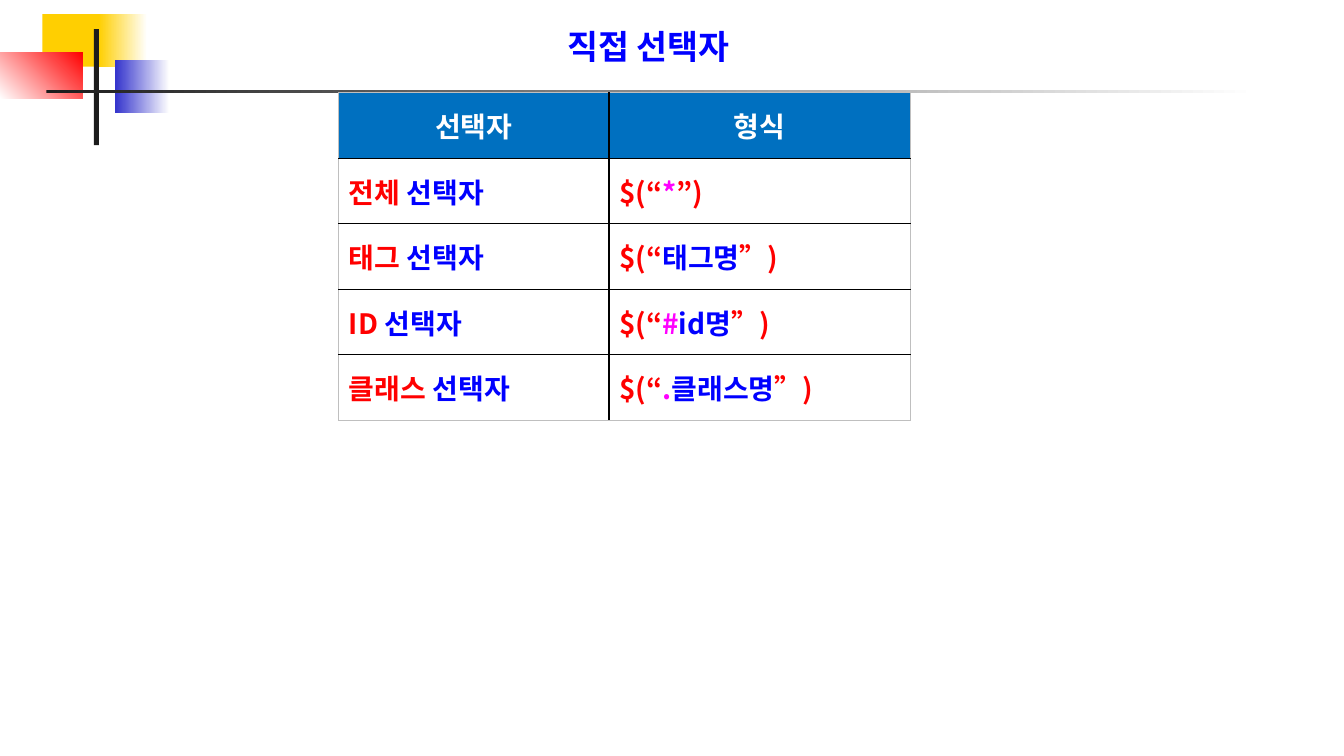
from typing import NamedTuple, Optional

from lxml.etree import SubElement
from pptx import Presentation
from pptx.dml.color import RGBColor
from pptx.enum.text import MSO_ANCHOR as Anchor, MSO_AUTO_SIZE as AutoSize, PP_ALIGN as Align
from pptx.enum.shapes import MSO_SHAPE as Preset
from pptx.oxml.ns import qn
from pptx.util import Inches, Pt

FONT = "Noto Sans CJK KR"
WHITE, DARK, HEADER_BLUE = "FFFFFF", "1C1C1C", "0070C0"
RED, BLUE, MAGENTA = "FF0000", "0000FF", "FF00FF"
YELLOW, INDIGO = "FFCF01", "3333CC"
BLACK, OUTER_GRAY = "000000", "BFBFBF"


class Block(NamedTuple):
    left: float
    top: float
    width: float
    height: float
    color: str
    end_color: Optional[str] = None
    angle: float = 0


class Piece(NamedTuple):
    text: str
    color: str


class Selector(NamedTuple):
    kind: str
    symbol: str
    target: str


BLOCKS = [
    Block(0.42, 0.14, 0.64, 0.52, YELLOW),
    Block(0.98, 0.14, 0.48, 0.52, YELLOW, WHITE),
    Block(1.14, 0.6, 0.54, 0.52, INDIGO, WHITE),
    Block(0, 0.52, 0.82, 0.46, WHITE, RED, 45),
    Block(0.93, 0.29, 0.05, 1.15, DARK),
    Block(0.46, 0.89, 12, 0.03, DARK, WHITE),
]
HEADERS = ["선택자", "형식"]
SELECTORS = [
    Selector("전체", "*", ""),
    Selector("태그", "", "태그명"),
    Selector("ID", "#", "id명"),
    Selector("클래스", ".", "클래스명"),
]
COLUMN_WIDTHS = [2.68, 2.99]
ROW_HEIGHT = 0.65


def rgb(color: str) -> RGBColor:
    return RGBColor.from_string(color)


def add_text(paragraph, text: str, *, color: str, size: float = 20, bold: bool = True) -> None:
    run = paragraph.add_run()
    run.text = text
    run.font.name = FONT
    run.font.size = Pt(size)
    run.font.bold = bold
    run.font.color.rgb = rgb(color)
    SubElement(run.font._element, qn("a:ea"), typeface=FONT)


def draw_block(slide, block: Block) -> None:
    shape = slide.shapes.add_shape(
        Preset.RECTANGLE, Inches(block.left), Inches(block.top), Inches(block.width), Inches(block.height)
    )
    shape.shadow.inherit = False
    shape.line.fill.background()
    if block.end_color is None:
        shape.fill.solid()
        shape.fill.fore_color.rgb = rgb(block.color)
        return
    shape.fill.gradient()
    shape.fill.gradient_angle = block.angle
    for stop, color in zip(shape.fill.gradient_stops, (block.color, block.end_color)):
        stop.color.rgb = rgb(color)


def set_borders(cell, outer_sides: dict[str, bool]) -> None:
    properties = cell._tc.get_or_add_tcPr()
    for side, outer in outer_sides.items():
        line = SubElement(properties, qn(f"a:ln{side}"), w=str(Pt(0.5 if outer else 1)))
        fill = SubElement(line, qn("a:solidFill"))
        SubElement(fill, qn("a:srgbClr"), val=OUTER_GRAY if outer else BLACK)


def selector_row(selector: Selector) -> list[list[Piece]]:
    pattern = [
        Piece("$(“", RED),
        Piece(selector.symbol, MAGENTA),
        Piece(selector.target, BLUE),
        Piece("”)", RED),
    ]
    return [
        [Piece(f"{selector.kind} ", RED), Piece("선택자", BLUE)],
        [piece for piece in pattern if piece.text],
    ]


def draw_table(slide) -> None:
    rows = [[[Piece(header, WHITE)] for header in HEADERS]]
    rows += [selector_row(selector) for selector in SELECTORS]
    last_row, last_column = len(rows) - 1, len(HEADERS) - 1
    table = slide.shapes.add_table(
        len(rows), len(HEADERS), Inches(3.36), Inches(0.92),
        Inches(sum(COLUMN_WIDTHS)), Inches(ROW_HEIGHT * len(rows)),
    ).table
    for column, width in zip(table.columns, COLUMN_WIDTHS):
        column.width = Inches(width)
    for row_index, row in enumerate(rows):
        table.rows[row_index].height = Inches(ROW_HEIGHT)
        for column_index, pieces in enumerate(row):
            cell = table.cell(row_index, column_index)
            cell.vertical_anchor = Anchor.MIDDLE
            set_borders(cell, {
                "L": column_index == 0,
                "R": column_index == last_column,
                "T": row_index == 0,
                "B": row_index == last_row,
            })
            cell.fill.solid()
            cell.fill.fore_color.rgb = rgb(WHITE if row_index else HEADER_BLUE)
            paragraph = cell.text_frame.paragraphs[0]
            paragraph.alignment = Align.LEFT if row_index else Align.CENTER
            for piece in pieces:
                add_text(paragraph, piece.text, color=piece.color)


def draw_title(slide, text: str) -> None:
    title = slide.shapes.title
    title.left, title.top = Inches(5.43), Inches(0.21)
    title.width, title.height = Inches(2), Inches(0.51)
    frame = title.text_frame
    frame.word_wrap = False
    frame.auto_size = AutoSize.SHAPE_TO_FIT_TEXT
    frame.vertical_anchor = Anchor.TOP
    paragraph = frame.paragraphs[0]
    paragraph.alignment = Align.CENTER
    add_text(paragraph, text, color=BLUE, size=24)


def main() -> None:
    presentation = Presentation()
    presentation.slide_width = Inches(13.33)
    presentation.slide_height = Inches(7.5)
    slide = presentation.slides.add_slide(presentation.slide_layouts[5])
    for block in BLOCKS:
        draw_block(slide, block)
    draw_table(slide)
    draw_title(slide, "직접 선택자")
    presentation.save("out.pptx")


if __name__ == "__main__":
    main()
